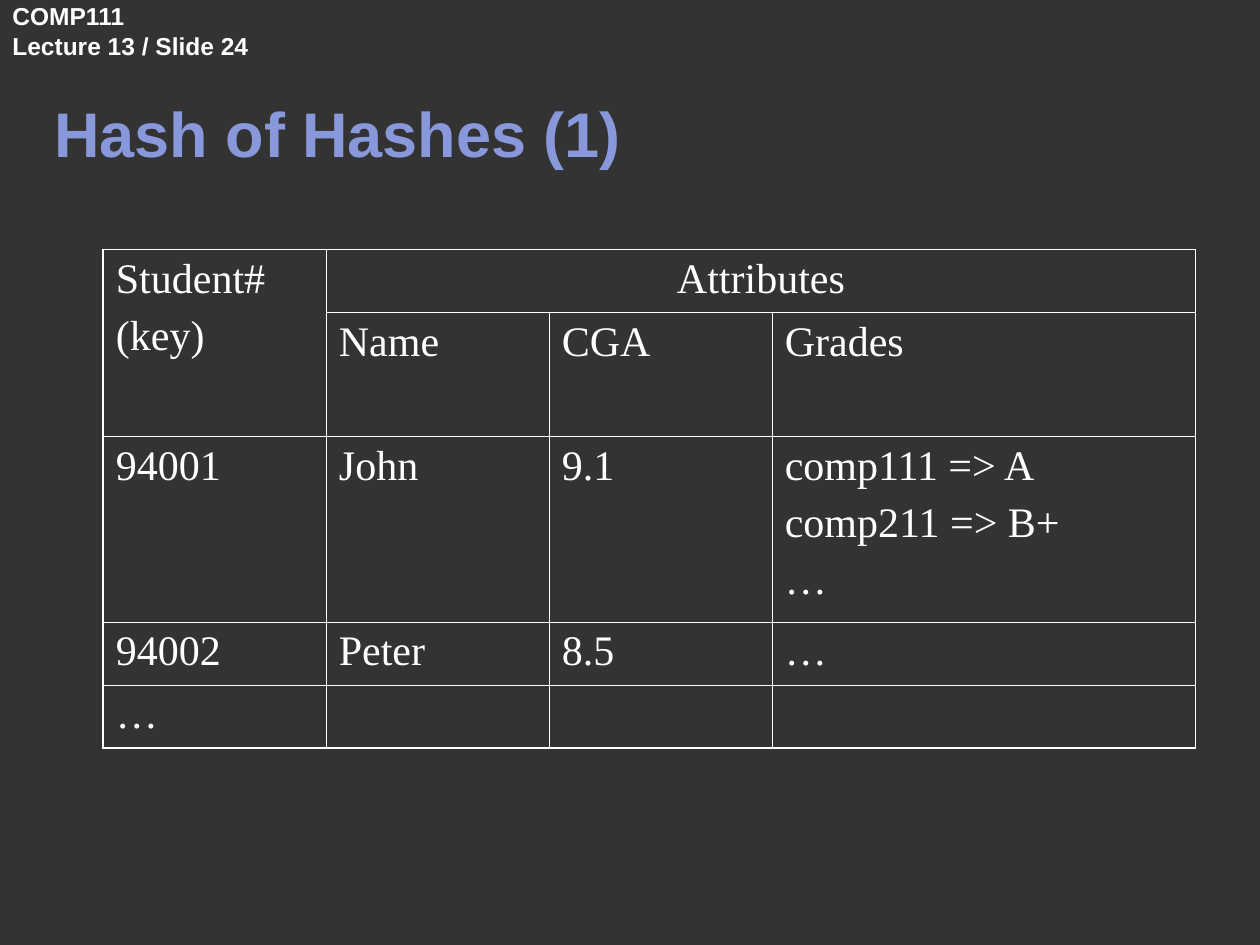
from dataclasses import dataclass

from lxml import etree
from pptx import Presentation
from pptx.dml.color import RGBColor
from pptx.enum.text import MSO_ANCHOR, MSO_AUTO_SIZE, PP_ALIGN
from pptx.oxml.ns import qn
from pptx.util import Pt

LEFT, CENTER = PP_ALIGN.LEFT, PP_ALIGN.CENTER
TOP, MIDDLE, BOTTOM = MSO_ANCHOR.TOP, MSO_ANCHOR.MIDDLE, MSO_ANCHOR.BOTTOM
NO_AUTOFIT = MSO_AUTO_SIZE.NONE


@dataclass(frozen=True)
class Theme:
    background: str = "333333"
    text: str = "FFFFFF"
    title: str = "8898DA"
    heading_font: str = "Arial"
    body_font: str = "Times New Roman"
    header_size: int = 14
    title_size: int = 36
    table_size: int = 24
    inner_line: float = 0.45
    outer_line: float = 1.08


THEME = Theme()

# Content
HEADER = ["COMP111", "Lecture 13 / Slide 24"]
TITLE = ["Hash of Hashes (1)"]
ROWS = [
    [["Student#", "(key)"], ["Attributes"], None, None],
    [None, ["Name"], ["CGA"], ["Grades"]],
    [["94001"], ["John"], ["9.1"], ["comp111 => A", "comp211 => B+", "…"]],
    [["94002"], ["Peter"], ["8.5"], ["…"]],
    [["…"], [], [], []],
]
MERGES = [((0, 0), (1, 0)), ((0, 1), (0, 3))]
CENTERED = {(0, 1)}

# Layout in points
HEADER_BOX = (0, 5.76, 131.76, 23.76)
TITLE_BOX = (23.76, 39.6, 607.68, 61.2)
TABLE_ORIGIN = (59.04, 142.56)
COLUMN_WIDTHS = [127.44, 127.44, 127.44, 241.92]
ROW_HEIGHTS = [36, 71, 106, 36, 36]


def write(frame, lines, *, font, size, color, bold=False, align=LEFT, gap=0):
    for index, line in enumerate(lines):
        para = frame.paragraphs[0] if index == 0 else frame.add_paragraph()
        para.alignment = align
        para.space_before = Pt(gap if index else 0)
        span = para.add_run()
        span.text = line
        span.font.name = font
        span.font.size = Pt(size)
        span.font.bold = bold
        span.font.color.rgb = RGBColor.from_string(color)


def set_up_frame(frame, anchor, wrap):
    frame.auto_size = NO_AUTOFIT
    frame.vertical_anchor = anchor
    frame.word_wrap = wrap
    frame.margin_left = frame.margin_right = Pt(7.2)
    frame.margin_top = frame.margin_bottom = Pt(3.6)


def draw_borders(cell, row, column):
    last_row = row + cell.span_height == len(ROWS)
    last_column = column + cell.span_width == len(COLUMN_WIDTHS)
    outer_edges = {"lnL": column == 0, "lnR": last_column,
                   "lnT": row == 0, "lnB": last_row}
    properties = cell._tc.get_or_add_tcPr()
    for tag, outer in outer_edges.items():
        width = THEME.outer_line if outer else THEME.inner_line
        line = etree.SubElement(properties, qn(f"a:{tag}"), w=str(Pt(width)))
        fill = etree.SubElement(line, qn("a:solidFill"))
        etree.SubElement(fill, qn("a:srgbClr"), val=THEME.text)


def add_grid(page):
    rows, columns = len(ROW_HEIGHTS), len(COLUMN_WIDTHS)
    bounds = (*TABLE_ORIGIN, sum(COLUMN_WIDTHS), sum(ROW_HEIGHTS))
    table = page.shapes.add_table(rows, columns, *map(Pt, bounds)).table
    table.first_row = table.horz_banding = False
    for column, width in zip(table.columns, COLUMN_WIDTHS):
        column.width = Pt(width)
    for row, height in zip(table.rows, ROW_HEIGHTS):
        row.height = Pt(height)
    for first, last in MERGES:
        table.cell(*first).merge(table.cell(*last))

    for row, contents in enumerate(ROWS):
        for column, lines in enumerate(contents):
            cell = table.cell(row, column)
            if not cell.is_spanned:
                draw_borders(cell, row, column)
                cell.vertical_anchor = TOP
                write(cell.text_frame, lines, font=THEME.body_font,
                      size=THEME.table_size, color=THEME.text, gap=6,
                      align=CENTER if (row, column) in CENTERED else LEFT)
            cell.fill.background()


def main():
    deck = Presentation()
    deck.slide_width, deck.slide_height = Pt(720), Pt(540)
    page = deck.slides.add_slide(deck.slide_layouts[5])
    page.background.fill.solid()
    page.background.fill.fore_color.rgb = RGBColor.from_string(THEME.background)

    # Course header
    header = page.shapes.add_textbox(*map(Pt, HEADER_BOX))
    set_up_frame(header.text_frame, MIDDLE, False)
    write(header.text_frame, HEADER, font=THEME.heading_font,
          size=THEME.header_size, color=THEME.text, bold=True)

    # Title
    title = page.shapes.title
    title.left, title.top, title.width, title.height = map(Pt, TITLE_BOX)
    set_up_frame(title.text_frame, BOTTOM, True)
    write(title.text_frame, TITLE, font=THEME.heading_font,
          size=THEME.title_size, color=THEME.title, bold=True)

    # Student table
    add_grid(page)
    deck.save("out.pptx")


if __name__ == "__main__":
    main()
